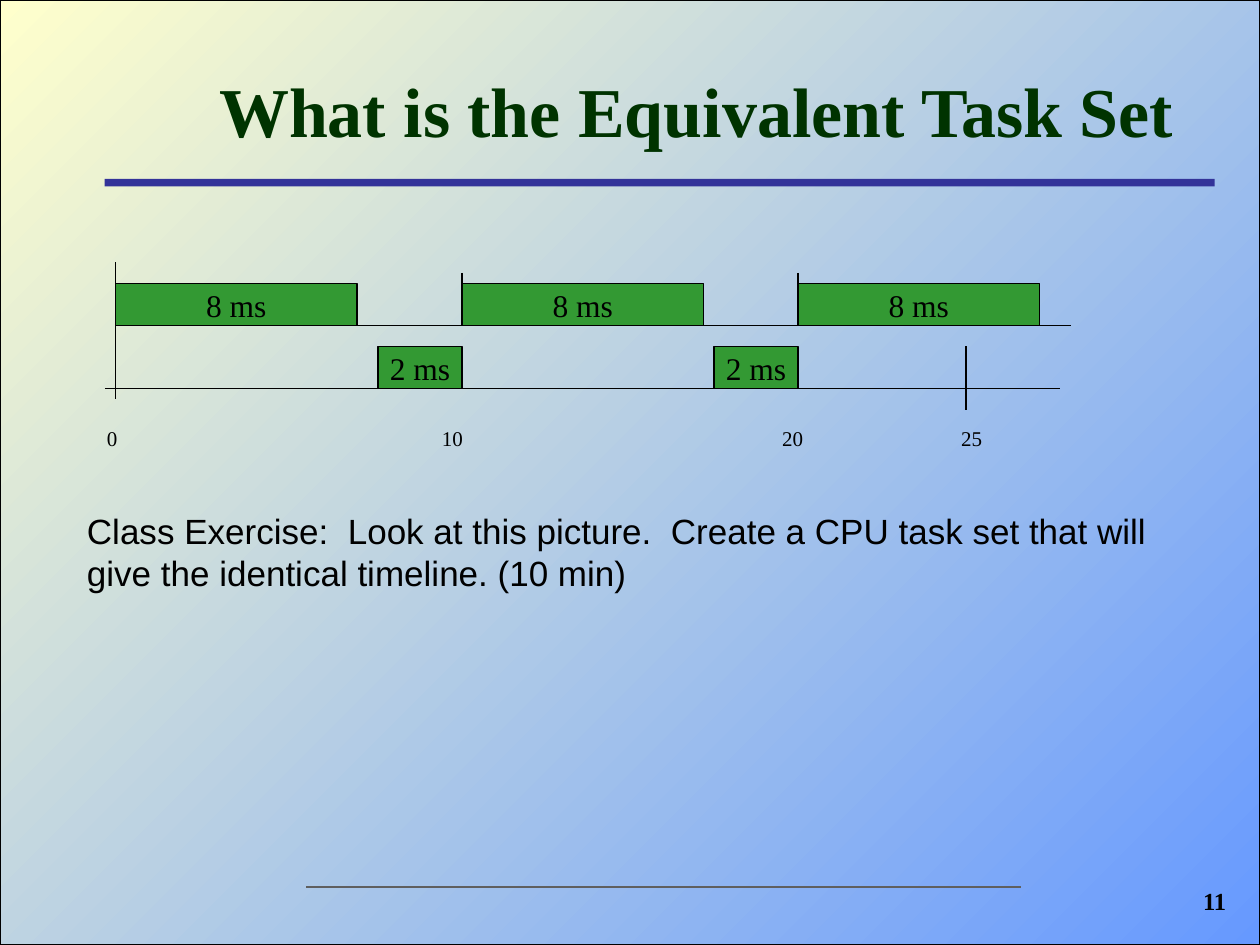
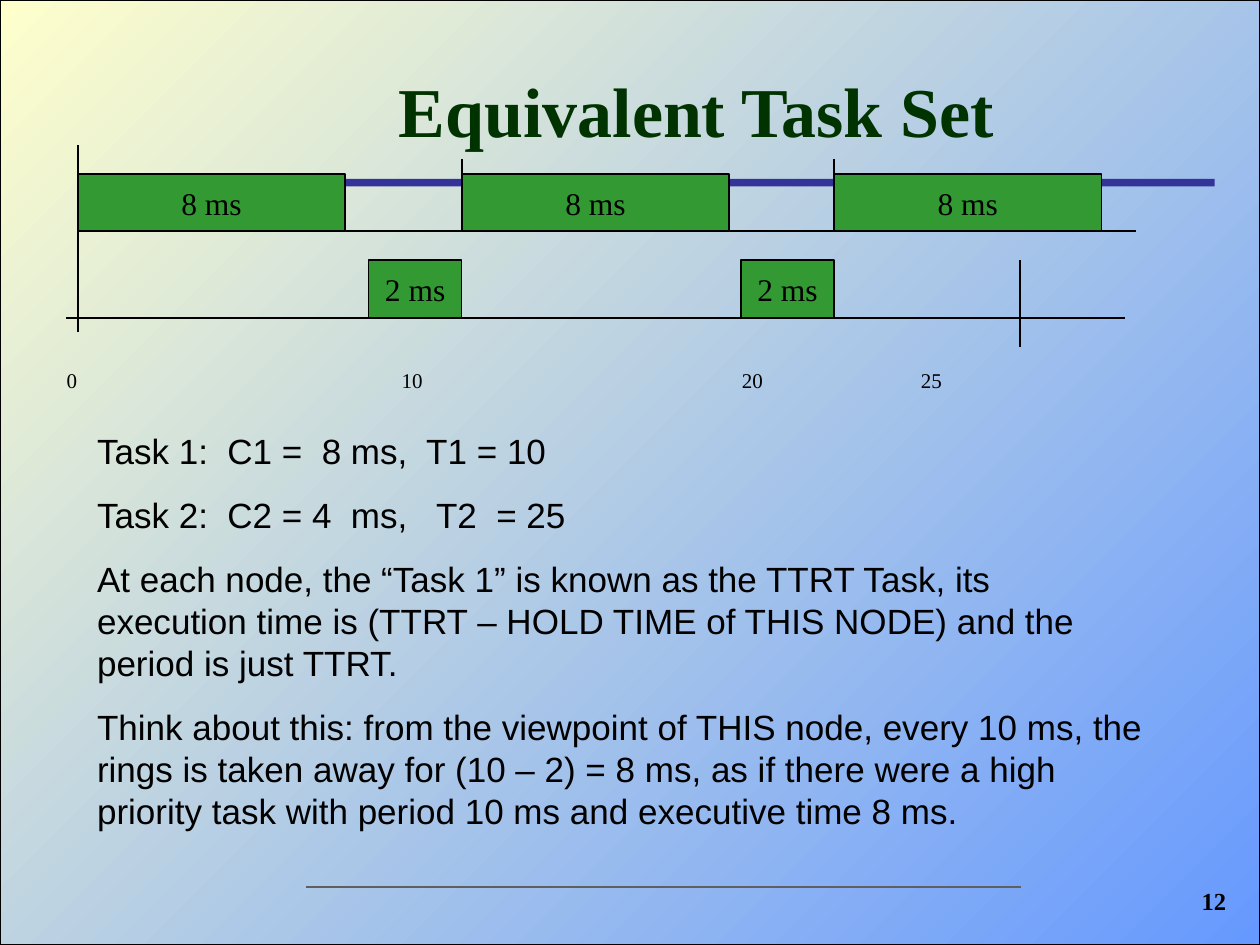
import dataclasses

import lxml.etree
import pptx
import pptx.dml.color
import pptx.enum.shapes
import pptx.enum.text
import pptx.oxml.ns
import pptx.util

BLUE = pptx.dml.color.RGBColor(0x66, 0x99, 0xFF)
CREAM = pptx.dml.color.RGBColor(0xFF, 0xFF, 0xCC)
INDIGO = pptx.dml.color.RGBColor(0x33, 0x33, 0x99)
GRAY = pptx.dml.color.RGBColor(0x5F, 0x5F, 0x5F)
DARK_GREEN = pptx.dml.color.RGBColor(0x00, 0x33, 0x00)
BAR_GREEN = pptx.dml.color.RGBColor(0x33, 0x99, 0x33)
BLACK = pptx.dml.color.RGBColor(0, 0, 0)

SERIF = "Times New Roman"
SANS = "Arial"
ALIGN = pptx.enum.text.PP_ALIGN
RECTANGLE = pptx.enum.shapes.MSO_SHAPE.RECTANGLE


@dataclasses.dataclass
class Grid:
    """A box, in EMU, divided into columns and rows."""
    left: int
    top: int
    width: int
    height: int
    columns: int
    rows: int

    def point(self, column, row):
        return (round(self.left + self.width * column / self.columns),
                round(self.top + self.height * row / self.rows))

    def box(self, column, row, column_span, row_span):
        left, top = self.point(column, row)
        right, bottom = self.point(column + column_span, row + row_span)
        return left, top, right - left, bottom - top


PAGE = Grid(0, 0, pptx.util.Inches(10), pptx.util.Inches(7.5), 100, 75)
TIMELINE_COLUMNS, TIMELINE_ROWS = 92, 14
LONG_BAR_COLUMNS = (1, 34, 66)
SHORT_BAR_COLUMNS = (26, 58)
TIME_LABELS = ("0", "10", "20", "25")
TIME_TABS = (2.66, 5.36, 6.78)


def add_text(paragraph, text, size, font_name, color=BLACK, bold=False):
    run = paragraph.add_run()
    run.text = text
    run.font.size = pptx.util.Pt(size)
    run.font.name = font_name
    run.font.bold = bold
    run.font.color.rgb = color


def add_rectangle(slide, box):
    shape = slide.shapes.add_shape(RECTANGLE, *box)
    shape.shadow.inherit = False
    return shape


def add_line(slide, start, end, color=BLACK, width=1):
    connector = slide.shapes.add_connector(
        pptx.enum.shapes.MSO_CONNECTOR.STRAIGHT, *start, *end)
    connector.line.color.rgb = color
    connector.line.width = pptx.util.Pt(width)
    lxml.etree.SubElement(connector.element.spPr, pptx.oxml.ns.qn("a:effectLst"))
    return connector


def place(shape, box):
    shape.left, shape.top, shape.width, shape.height = box


def add_master_decoration(presentation, slide):
    """Draw the shared backdrop and rules, then move them to the master."""
    backdrop = add_rectangle(slide, PAGE.box(0, 0, 100, 75))
    backdrop.fill.gradient()
    backdrop.fill.gradient_angle = 135
    for stop, color in zip(backdrop.fill.gradient_stops, (BLUE, CREAM)):
        stop.color.rgb = color
    backdrop.line.color.rgb = BLACK
    backdrop.line.width = pptx.util.Pt(0.75)

    title_rule = add_rectangle(slide, PAGE.box(8.3, 14.2, 88.1, 0.6))
    title_rule.fill.solid()
    title_rule.fill.fore_color.rgb = INDIGO
    title_rule.line.fill.background()

    footer_rule = add_line(slide, PAGE.point(24.3, 70.4), PAGE.point(81, 70.4),
                           GRAY, 1.5)
    master_tree = presentation.slide_master.shapes.element
    for index, shape in enumerate((backdrop, title_rule, footer_rule)):
        shape.element.xpath(".//p:cNvPr")[0].set("id", str(100 + index))
        master_tree.insert(2 + index, shape.element)


def fill_title(slide, text):
    title = slide.shapes.title
    place(title, PAGE.box(13.8, 3.3, 82.9, 10.8))
    frame = title.text_frame
    frame.auto_size = pptx.enum.text.MSO_AUTO_SIZE.NONE
    frame.vertical_anchor = pptx.enum.text.MSO_ANCHOR.MIDDLE
    paragraph = frame.paragraphs[0]
    paragraph.alignment = ALIGN.CENTER
    add_text(paragraph, text, 40, SERIF, DARK_GREEN, True)


def fill_body(slide, box, texts):
    body = slide.placeholders[1]
    place(body, box)
    frame = body.text_frame
    frame.auto_size = pptx.enum.text.MSO_AUTO_SIZE.NONE
    for index, text in enumerate(texts):
        paragraph = frame.add_paragraph() if index else frame.paragraphs[0]
        properties = paragraph._p.get_or_add_pPr()
        properties.set("marL", "0")
        properties.set("indent", "0")
        lxml.etree.SubElement(properties, pptx.oxml.ns.qn("a:buNone"))
        paragraph.space_before = pptx.util.Pt(12.5 if index else 0)
        add_text(paragraph, text, 20, SANS)


def add_bar(slide, box, text):
    bar = add_rectangle(slide, box)
    bar.fill.solid()
    bar.fill.fore_color.rgb = BAR_GREEN
    bar.line.color.rgb = BLACK
    bar.line.width = pptx.util.Pt(1)
    frame = bar.text_frame
    frame.word_wrap = False
    frame.vertical_anchor = pptx.enum.text.MSO_ANCHOR.MIDDLE
    frame.paragraphs[0].alignment = ALIGN.CENTER
    add_text(frame.paragraphs[0], text, 18, SERIF)


def add_timeline(slide, box):
    grid = Grid(*box, TIMELINE_COLUMNS, TIMELINE_ROWS)
    line_ends = [((1, 6), (92, 6)), ((0, 12), (91, 12)),
                 ((1, 0), (1, 13)), ((82, 8), (82, 14))]
    line_ends += [((column, 1), (column, 6)) for column in LONG_BAR_COLUMNS[1:]]
    for start, end in line_ends:
        add_line(slide, grid.point(*start), grid.point(*end))
    for column in LONG_BAR_COLUMNS:
        add_bar(slide, grid.box(column, 2, 23, 4), "8 ms")
    for column in SHORT_BAR_COLUMNS:
        add_bar(slide, grid.box(column, 8, 8, 4), "2 ms")


def add_time_labels(slide, box):
    frame = slide.shapes.add_textbox(*box).text_frame
    frame.word_wrap = True
    paragraph = frame.paragraphs[0]
    tab_list = lxml.etree.SubElement(paragraph._p.get_or_add_pPr(),
                                     pptx.oxml.ns.qn("a:tabLst"))
    for position in TIME_TABS:
        lxml.etree.SubElement(tab_list, pptx.oxml.ns.qn("a:tab"),
                              pos=str(pptx.util.Inches(position)), algn="l")
    add_text(paragraph, "\t".join(TIME_LABELS), 12, SERIF)


def add_page_number(slide, number):
    frame = slide.shapes.add_textbox(*PAGE.box(87.5, 69.8, 10.8, 5)).text_frame
    frame.word_wrap = True
    frame.paragraphs[0].alignment = ALIGN.RIGHT
    add_text(frame.paragraphs[0], str(number), 14, SERIF, bold=True)


def add_task_slide(presentation, number, title, timeline_box, labels_box,
                   body_box, texts):
    slide = presentation.slides.add_slide(presentation.slide_layouts[1])
    fill_title(slide, title)
    add_timeline(slide, timeline_box)
    add_time_labels(slide, labels_box)
    fill_body(slide, body_box, texts)
    add_page_number(slide, number)
    return slide


def main():
    presentation = pptx.Presentation()
    presentation.slide_width = PAGE.width
    presentation.slide_height = PAGE.height

    question_slide = add_task_slide(
        presentation, 11, "What is the Equivalent Task Set",
        timeline_box=PAGE.box(8.33, 20.83, 76.67, 11.67),
        labels_box=PAGE.box(7.5, 33.3, 73.3, 5),
        body_box=PAGE.box(5.9, 39.9, 89, 12.8),
        texts=["Class Exercise:  Look at this picture.  Create a CPU task set "
               "that will give the identical timeline. (10 min)"])
    add_master_decoration(presentation, question_slide)

    add_task_slide(
        presentation, 12, "Equivalent Task Set",
        timeline_box=PAGE.box(5.25, 11.5, 84.95, 16),
        labels_box=PAGE.box(4.3, 28.7, 81.2, 3),
        body_box=PAGE.box(6.7, 33.6, 85.1, 32.9),
        texts=["Task 1:  C1 =  8 ms,  T1 = 10",
               "Task 2:  C2 = 4  ms,   T2  = 25",
               "At each node, the “Task 1” is known as the TTRT Task, its "
               "execution time is (TTRT – HOLD TIME of THIS NODE) and the "
               "period is just TTRT.",
               "Think about this: from the viewpoint of THIS node, every "
               "10 ms, the rings is taken away for (10 – 2) = 8 ms, as if "
               "there were a high priority task with period 10 ms and "
               "executive time 8 ms."])
    presentation.save("out.pptx")


if __name__ == "__main__":
    main()
